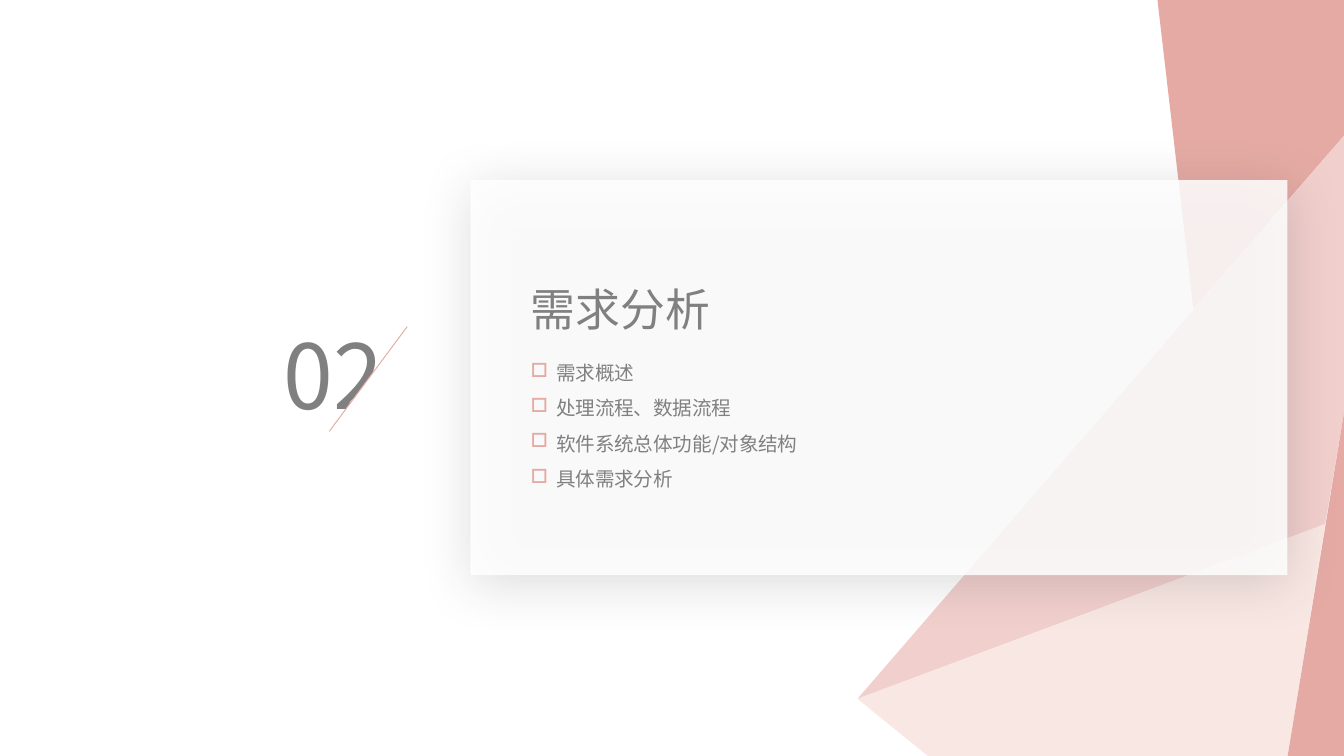
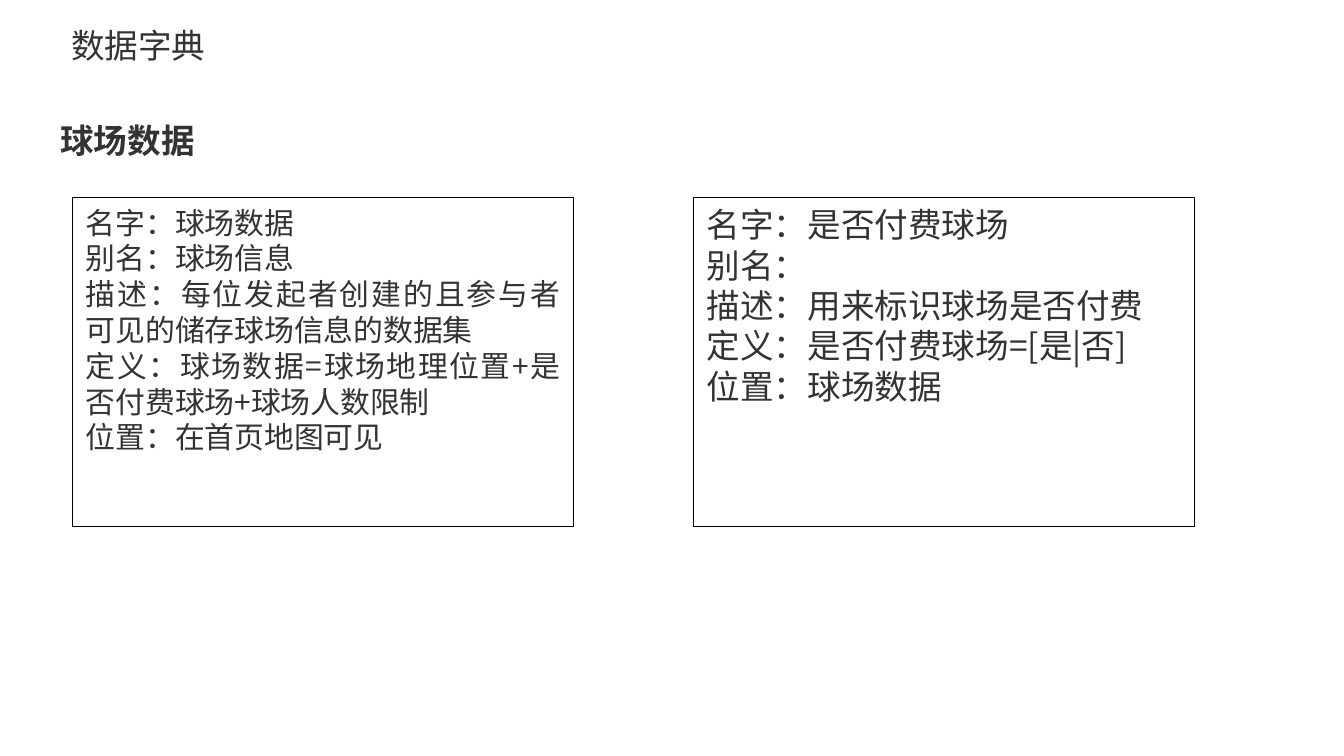
import pptx
import pptx.util
import pptx.dml.color
import pptx.enum.shapes
import pptx.enum.text
import pptx.oxml.ns
from lxml import etree

THEME = {
    "rose": "E5AAA4", "blush": "F1CFCD", "cream": "F9E7E3", "white": "FFFFFF",
    "grey": "808080", "ink": "333333", "black": "000000",
    "main_font": "Noto Sans CJK SC", "heading_font": "Calibri", "bullet_font": "Wingdings",
    "number_size": 48, "section_size": 24, "heading_size": 18, "list_size": 10.5,
    "line_width": 0.5,
}
WIDTH = 10
HEIGHT = WIDTH * 9 / 16

SECTION = {
    "number": "02",
    "title": "需求分析",
    "topics": ["需求概述", "处理流程、数据流程", "软件系统总体功能/对象结构", "具体需求分析"],
}
FACETS = [
    ("rose", [(8.88, 2.3), (8.61, -0.02), (10, -0.02), (10, 1.01)]),
    ("blush", [(6.38, 5.2), (9.86, 3.9), (10, 3.07), (10, 1.01)]),
    ("cream", [(6.38, 5.2), (6.91, 5.63), (9.58, 5.63), (9.86, 3.9)]),
    ("rose", [(9.58, 5.63), (10, 5.63), (10, 3.07)]),
]
DICTIONARY = {
    "title": "数据字典",
    "subject": "球场数据",
    "entries": [
        (16, ["名字：球场数据", "别名：球场信息",
              "描述：每位发起者创建的且参与者可见的储存球场信息的数据集",
              "定义：球场数据=球场地理位置+是否付费球场+球场人数限制",
              "位置：在首页地图可见"]),
        (18, ["名字：是否付费球场", "别名：", "描述：用来标识球场是否付费",
              "定义：是否付费球场=[是|否]", "位置：球场数据"]),
    ],
}
CARD_LEFT, CARD_TOP, CARD_WIDTH, CARD_HEIGHT, CARD_PITCH = 0.54, 1.47, 3.73, 2.45, 4.62


def inches(*lengths):
    return [pptx.util.Inches(length) for length in lengths]


def color(name):
    return pptx.dml.color.RGBColor.from_string(THEME[name])


def add_xml(parent, tag, **attributes):
    values = {key: str(value) for key, value in attributes.items()}
    return etree.SubElement(parent, pptx.oxml.ns.qn(tag), values)


def outline(line, name):
    line.color.rgb = color(name)
    line.width = pptx.util.Pt(THEME["line_width"])


def paint(shape, fill, line=None):
    shape.shadow.inherit = False
    shape.fill.solid()
    shape.fill.fore_color.rgb = color(fill)
    if line:
        outline(shape.line, line)
    else:
        shape.line.fill.background()
    return shape


def add_rectangle(slide, box, fill, line=None):
    kind = pptx.enum.shapes.MSO_SHAPE.RECTANGLE
    return paint(slide.shapes.add_shape(kind, *inches(*box)), fill, line)


def add_bullet(paragraph, bullet):
    properties = paragraph._p.get_or_add_pPr()
    indent = pptx.util.Inches(0.19)
    properties.set("marL", str(indent))
    properties.set("indent", str(-indent))
    add_xml(add_xml(properties, "a:buClr"), "a:srgbClr", val=THEME["rose"])
    add_xml(properties, "a:buFont", typeface=THEME["bullet_font"], charset=2)
    add_xml(properties, "a:buChar", char=bullet)


def write(frame, lines, size, ink, font="main_font", bold=False, align=None,
          spacing=None, bullet=None):
    frame.vertical_anchor = pptx.enum.text.MSO_ANCHOR.TOP
    for index, line in enumerate(lines):
        paragraph = frame.paragraphs[0] if index == 0 else frame.add_paragraph()
        paragraph.alignment = align
        if spacing:
            paragraph.line_spacing = spacing
        if bullet:
            add_bullet(paragraph, bullet)
        run = paragraph.add_run()
        run.text = line
        run.font.size = pptx.util.Pt(size)
        run.font.bold = bold
        run.font.color.rgb = color(ink)
        run.font.name = THEME[font]
        add_xml(run._r.get_or_add_rPr(), "a:ea", typeface=THEME["main_font"])


def add_text(slide, box, lines, size, ink, wrap=True, **style):
    frame = slide.shapes.add_textbox(*inches(*box)).text_frame
    frame.word_wrap = wrap
    write(frame, lines, size, ink, **style)


def add_facet(slide, fill, points):
    builder = slide.shapes.build_freeform(*inches(*points[0]), scale=1.0)
    builder.add_line_segments([inches(*point) for point in points[1:]], close=True)
    paint(builder.convert_to_shape(), fill)


def add_panel(slide):
    panel = add_rectangle(slide, (3.5, 1.34, 6.08, 2.94), "white")
    properties = panel._element.spPr
    fill_color = properties.find(".//" + pptx.oxml.ns.qn("a:srgbClr"))
    add_xml(fill_color, "a:alpha", val=85000)
    effects = properties.find(pptx.oxml.ns.qn("a:effectLst"))
    shadow = add_xml(effects, "a:outerShdw", blurRad=pptx.util.Pt(29), dist=pptx.util.Pt(5),
                     dir=77 * 60000, algn="ctr", rotWithShape=0)
    shadow_color = add_xml(shadow, "a:srgbClr", val=THEME["ink"])
    add_xml(shadow_color, "a:alpha", val=20000)


def add_slash(slide):
    kind = pptx.enum.shapes.MSO_SHAPE.RIGHT_TRIANGLE
    triangle = paint(slide.shapes.add_shape(kind, *inches(2.35, 2.53, 0.78, 0.58)), "white")
    triangle.rotation = 270
    straight = pptx.enum.shapes.MSO_CONNECTOR.STRAIGHT
    slash = slide.shapes.add_connector(straight, *inches(3.03, 2.43, 2.45, 3.21))
    outline(slash.line, "rose")
    add_xml(slash._element.spPr, "a:effectLst")


def build_section(slide):
    for fill, points in FACETS:
        add_facet(slide, fill, points)
    add_panel(slide)
    add_text(slide, (2.01, 2.33, 0.98, 0.91), [SECTION["number"]], THEME["number_size"], "grey")
    add_text(slide, (3.85, 2.05, 1.53, 0.5), [SECTION["title"]], THEME["section_size"], "grey",
             wrap=False)
    add_slash(slide)
    add_text(slide, (3.85, 2.55, 2.5, 1.16), SECTION["topics"], THEME["list_size"], "grey",
             spacing=1.5, bullet="o")


def build_dictionary(slide):
    size = THEME["heading_size"]
    add_text(slide, (0.43, 0.14, 1.65, 0.4), [DICTIONARY["title"]], size, "ink",
             font="heading_font")
    add_text(slide, (0.35, 0.84, 2.05, 0.71), [DICTIONARY["subject"]], size, "ink",
             font="heading_font", bold=True)
    for column, (text_size, lines) in enumerate(DICTIONARY["entries"]):
        box = (CARD_LEFT + column * CARD_PITCH, CARD_TOP, CARD_WIDTH, CARD_HEIGHT)
        card = add_rectangle(slide, box, "white", "black")
        write(card.text_frame, lines, text_size, "ink",
              align=pptx.enum.text.PP_ALIGN.JUSTIFY)


def main():
    presentation = pptx.Presentation()
    presentation.slide_width, presentation.slide_height = inches(WIDTH, HEIGHT)
    for build in (build_section, build_dictionary):
        build(presentation.slides.add_slide(presentation.slide_layouts[6]))
    presentation.save("out.pptx")


if __name__ == "__main__":
    main()
